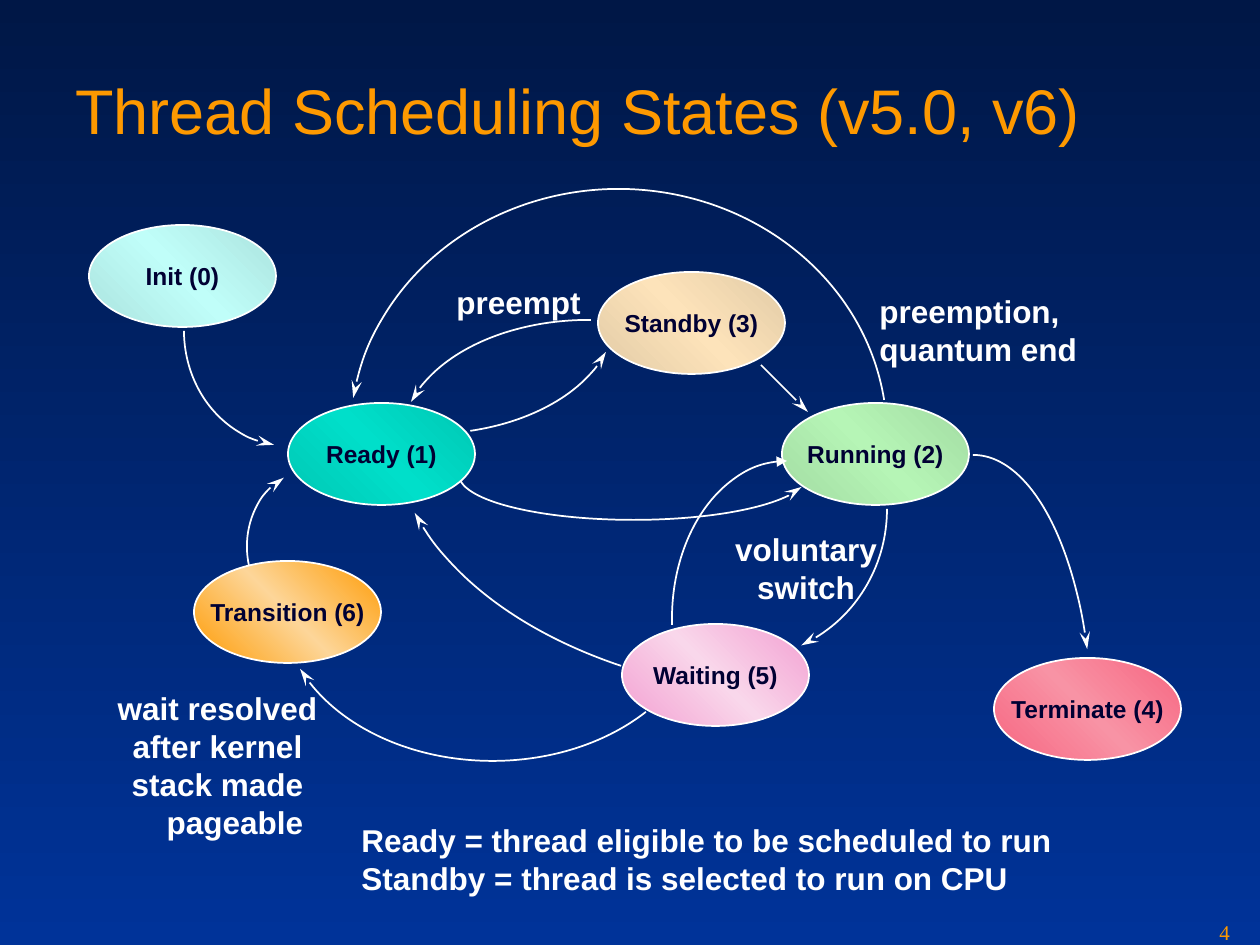
from copy import deepcopy
from math import atan2, degrees

from lxml.etree import SubElement
from pptx import Presentation
from pptx.dml.color import RGBColor
from pptx.enum.shapes import MSO_CONNECTOR as Connector, MSO_SHAPE as Shape
from pptx.enum.text import MSO_ANCHOR as Anchor, PP_ALIGN as Align
from pptx.oxml.ns import qn
from pptx.util import Pt

PX = 914400 / 126
WHITE = RGBColor(0xFF, 0xFF, 0xFF)
ORANGE = RGBColor(0xFE, 0x99, 0x00)
INK = RGBColor(0x00, 0x00, 0x33)
NIGHT = RGBColor(0x00, 0x17, 0x46)
BLUE = RGBColor(0x00, 0x33, 0x99)
STATE_WIDTH, STATE_HEIGHT = 187, 102
ARC_UNITS_PER_DEGREE = 0.6

STATES = [
    ("Ready (1)", 288, 403, RGBColor(0x00, 0xC7, 0xB4), RGBColor(0x00, 0xDF, 0xCA)),
    ("Running (2)", 782, 403, RGBColor(0xA2, 0xDB, 0xA2), RGBColor(0xB6, 0xF5, 0xB6)),
    ("Waiting (5)", 622, 624, RGBColor(0xF3, 0x9F, 0xD1), RGBColor(0xF9, 0xD7, 0xEB)),
    ("Init (0)", 89, 225, RGBColor(0xAB, 0xE3, 0xDE), RGBColor(0xC0, 0xFE, 0xF9)),
    ("Terminate (4)", 994, 658, RGBColor(0xF7, 0x66, 0x81), RGBColor(0xF8, 0x93, 0xA5)),
    ("Transition (6)", 194, 561, RGBColor(0xFE, 0x9B, 0x03), RGBColor(0xFD, 0xD6, 0x99)),
    ("Standby (3)", 598, 272, RGBColor(0xE2, 0xCB, 0xA6), RGBColor(0xFD, 0xE3, 0xBA)),
]

WAITING_TO_READY = ((392, 154, 866, 544), (622, 665), (415, 513), "tailEnd")
RUNNING_TO_WAITING = ((593, 360, 294, 299), (887, 509), (801, 645), "tailEnd")
RUNNING_TO_READY = ((350, 189, 537, 494), (353, 398), (884, 400), "headEnd")
INIT_TO_READY = ((184, 215, 210, 231), (274, 445), (184, 331), "headEnd")
RUNNING_TO_TERMINATE = ((855, 455, 237, 539), (973, 455), (1086, 650), "tailEnd")
WAITING_TO_TRANSITION = ((281, 446, 423, 315), (646, 712), (300, 669), "tailEnd")
TRANSITION_TO_READY = ((247, 471, 126, 151), (249, 566), (284, 478), "tailEnd")
STANDBY_TO_READY = ((401, 320, 375, 242), (411, 402), (591, 321), "headEnd")
READY_TO_STANDBY = ((241, 192, 375, 242), (606, 352), (470, 430), "headEnd")
READY_TO_RUNNING = ((459, 430, 349, 90), (801, 487), (460, 481), "headEnd")
WAITING_TO_RUNNING = ((672, 461, 231, 315), (672, 625), (787, 461), "tailEnd")
STEALTH_ARCS = [
    WAITING_TO_READY, RUNNING_TO_WAITING, RUNNING_TO_READY, INIT_TO_READY,
    RUNNING_TO_TERMINATE, WAITING_TO_TRANSITION, TRANSITION_TO_READY,
    STANDBY_TO_READY, READY_TO_STANDBY, READY_TO_RUNNING,
]


def emu(*lengths):
    return [round(length * PX) for length in lengths]


def add_text(paragraph, text, size, color, bold=False, font="Arial"):
    run = paragraph.add_run()
    run.text = text
    run.font.name = font
    run.font.size = Pt(size)
    run.font.bold = bold
    run.font.color.rgb = color


def add_background(slide):
    fill = slide.background.fill
    fill.gradient()
    fill.gradient_angle = 270
    for stop, color, position in zip(fill.gradient_stops, (NIGHT, BLUE), (0, 1)):
        stop.color.rgb = color
        stop.position = position


def add_line_of_text(slide, box, text, size, font="Arial", anchor=Anchor.TOP):
    frame = slide.shapes.add_textbox(*emu(*box)).text_frame
    frame.word_wrap = True
    frame.vertical_anchor = anchor
    add_text(frame.paragraphs[0], text, size, ORANGE, font=font)


def add_label(slide, box, lines, align=Align.LEFT):
    frame = slide.shapes.add_textbox(*emu(*box)).text_frame
    frame.word_wrap = False
    for index, line in enumerate(lines):
        paragraph = frame.add_paragraph() if index else frame.paragraphs[0]
        paragraph.alignment = align
        add_text(paragraph, line, 18, WHITE, bold=True)
    return frame


def add_state(slide, name, left, top, edge, middle):
    shape = slide.shapes.add_shape(
        Shape.OVAL, *emu(left, top, STATE_WIDTH, STATE_HEIGHT))
    shape.shadow.inherit = False
    shape.line.color.rgb = WHITE
    shape.line.width = Pt(1)
    shape.fill.gradient()
    shape.fill.gradient_angle = 225
    stop_list = shape._element.spPr.find(".//" + qn("a:gsLst"))
    stop_list.append(deepcopy(stop_list[-1]))
    for stop, color, position in zip(
            shape.fill.gradient_stops, (edge, middle, edge), (0, 0.5, 1)):
        stop.color.rgb = color
        stop.position = position
    frame = shape.text_frame
    frame.word_wrap = False
    frame.vertical_anchor = Anchor.MIDDLE
    frame.paragraphs[0].alignment = Align.CENTER
    add_text(frame.paragraphs[0], name, 14, INK, bold=True)


def style_arrow(shape, side, head, length):
    shape.line.color.rgb = WHITE
    shape.line.width = Pt(1)
    properties = shape._element.spPr
    SubElement(properties.find(qn("a:ln")), qn("a:" + side),
               type=head, w="med", len=length)
    SubElement(properties, qn("a:effectLst"))


def add_arc(slide, box, start, end, side, head="stealth", length="lg"):
    left, top, width, height = box
    shape = slide.shapes.add_shape(Shape.ARC, *emu(*box))
    for index, (x, y) in enumerate((start, end)):
        angle = degrees(atan2(y - top - height / 2, x - left - width / 2)) % 360
        shape.adjustments[index] = angle * ARC_UNITS_PER_DEGREE
    shape.fill.background()
    style_arrow(shape, side, head, length)


def add_straight_arrow(slide, start, end):
    connector = slide.shapes.add_connector(
        Connector.STRAIGHT, *emu(*start, *end))
    style_arrow(connector, "tailEnd", "stealth", "lg")


def add_diagram(slide):
    for state in STATES:
        add_state(slide, *state)
    for arc in STEALTH_ARCS:
        add_arc(slide, *arc)
    add_arc(slide, *WAITING_TO_RUNNING, "triangle", "med")
    add_straight_arrow(slide, (761, 365), (808, 412))


def add_labels(slide):
    add_label(slide, (444, 277, 150, 50), ["preempt"])
    add_label(slide, (867, 286, 252, 88), ["preemption,", "quantum end"])
    add_label(slide, (722, 524, 168, 88), ["voluntary", "switch"], Align.CENTER)
    reason = add_label(
        slide, (105, 683, 225, 164),
        ["wait resolved", "after kernel", "stack made", "pageable"], Align.CENTER)
    reason.paragraphs[-1]._p.get_or_add_pPr().set("marL", str(Pt(20)))
    add_label(slide, (349, 815, 716, 88),
              ["Ready = thread eligible to be scheduled to run",
               "Standby = thread is selected to run on CPU"])


def main():
    presentation = Presentation()
    presentation.slide_width, presentation.slide_height = emu(1260, 945)
    slide = presentation.slides.add_slide(presentation.slide_layouts[6])
    add_background(slide)
    add_line_of_text(slide, (63, 30, 1134, 158),
                     "Thread Scheduling States (v5.0, v6)", 36,
                     anchor=Anchor.MIDDLE)
    add_diagram(slide)
    add_labels(slide)
    add_line_of_text(slide, (1207, 913, 53, 31), "4", 12, "Times New Roman")
    presentation.save("out.pptx")


if __name__ == "__main__":
    main()
